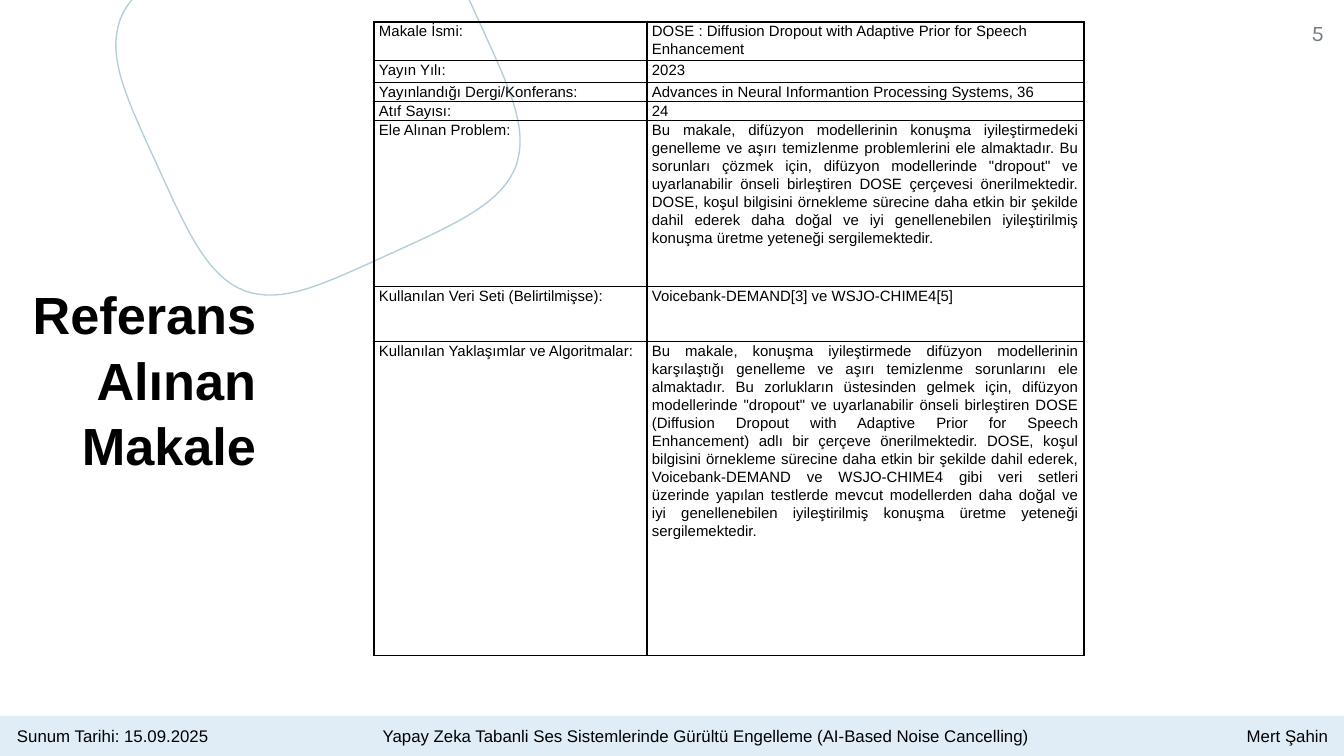
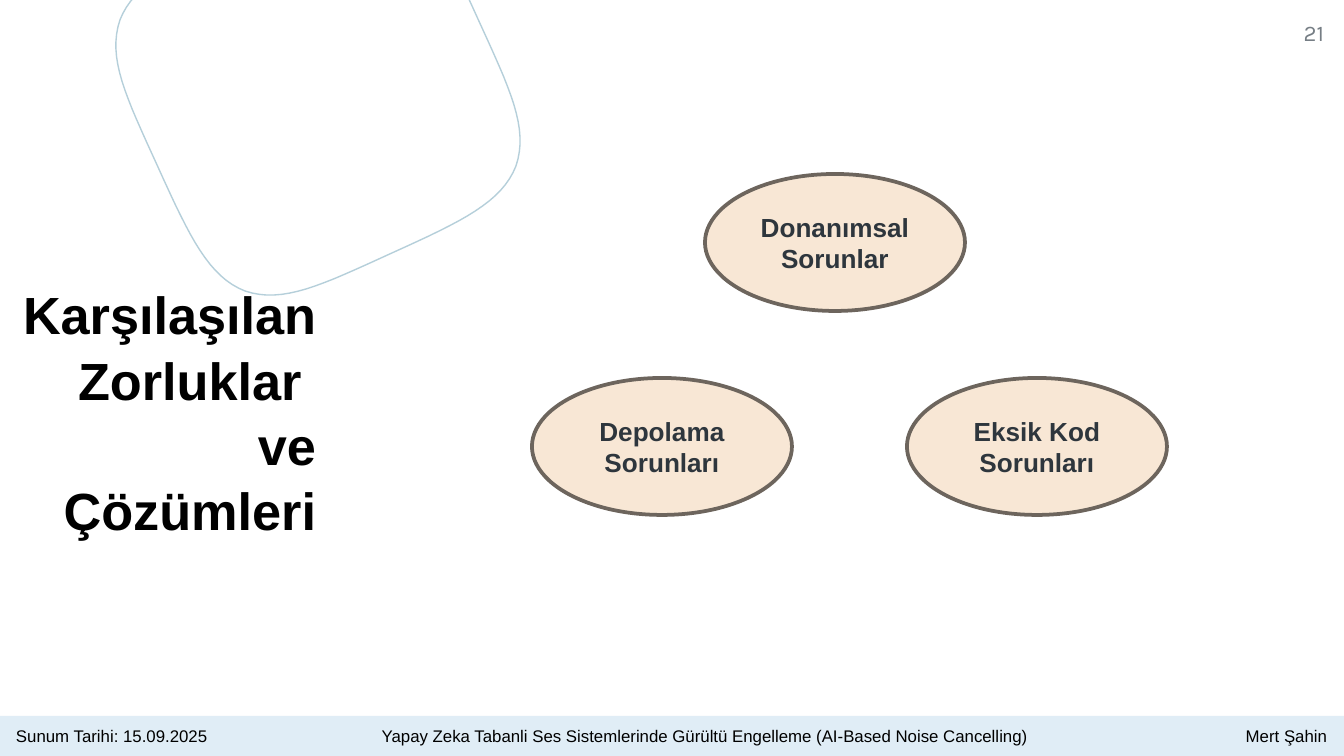
from lxml import etree
from pptx import Presentation
from pptx import util as u
from pptx.dml.color import RGBColor
from pptx.enum import shapes, text
from pptx.oxml.ns import qn

PX = 914400 / 134.4
COLORS = {
    "ink": "000000",
    "number": "767E85",
    "outline": "B5CFDA",
    "band": "C3DCEF",
    "bubble": "F8E7D5",
    "bubble_edge": "6D655D",
    "bubble_text": "2E363D",
}
LEFT, CENTER = text.PP_ALIGN.LEFT, text.PP_ALIGN.CENTER
RIGHT, JUSTIFY = text.PP_ALIGN.RIGHT, text.PP_ALIGN.JUSTIFY

# One quarter of the rounded outline, two curves, relative to its centre
OUTLINE_CENTER = (318, 93)
OUTLINE_QUARTER = [(74, 160), (145, 128), (184, 109), (198, 73),
                   (211, 35), (192, -4), (160, -74)]
CURVE_STEPS = 16


def px(value):
    return u.Emu(round(value * PX))


def rgb(name):
    return RGBColor.from_string(COLORS[name])


def curve_points(p0, p1, p2, p3):
    """Points along a cubic curve, without its start."""
    for step in range(1, CURVE_STEPS + 1):
        t = step / CURVE_STEPS
        s = 1 - t
        yield tuple(s**3 * a + 3 * s * s * t * b + 3 * s * t * t * c + t**3 * d
                    for a, b, c, d in zip(p0, p1, p2, p3))


class Deck:
    def __init__(self):
        self.prs = Presentation()
        self.prs.slide_width, self.prs.slide_height = px(1344), px(756)
        self.slide = None

    def new_slide(self, number, title, title_width, shift=0):
        self.slide = self.prs.slides.add_slide(self.prs.slide_layouts[6])
        self.outline()
        self.label(number, 1243, 19, 81, 58, 12, RIGHT, "number", "Karla")
        self.label(title, 20, 280, title_width, 99, 28, RIGHT,
                   bold=True, spacing=1.04)
        self.footer(shift)

    def style(self, paragraph, size, align, color="ink", font="Arial",
              bold=False, spacing=None):
        paragraph.alignment = align
        if spacing:
            paragraph.line_spacing = spacing
        for run in paragraph.runs:
            run.font.size = u.Pt(size)
            run.font.name = font
            run.font.bold = bold
            run.font.color.rgb = rgb(color)

    def label(self, words, x, y, w, h, size, align, color="ink",
              font="Arial", bold=False, spacing=None, inset=(0, 0)):
        frame = self.slide.shapes.add_textbox(px(x), px(y), px(w), px(h)).text_frame
        frame.word_wrap = True
        frame.margin_left = frame.margin_right = px(inset[0])
        frame.margin_top = frame.margin_bottom = px(inset[1])
        paragraph = frame.paragraphs[0]
        paragraph.text = words
        self.style(paragraph, size, align, color, font, bold, spacing)

    def shape(self, kind, x, y, w, h, fill, edge=None, weight=0):
        shape = self.slide.shapes.add_shape(kind, px(x), px(y), px(w), px(h))
        shape.shadow.inherit = False
        shape.fill.solid()
        shape.fill.fore_color.rgb = rgb(fill)
        if edge:
            shape.line.color.rgb = rgb(edge)
            shape.line.width = u.Pt(weight)
        else:
            shape.line.fill.background()
        return shape

    def outline(self):
        quarter, points = OUTLINE_QUARTER, []
        for _ in range(4):
            points += [*curve_points(*quarter[:4]), *curve_points(*quarter[3:])]
            quarter = [(y, -x) for x, y in quarter]
        cx, cy = OUTLINE_CENTER
        points = [(px(cx + x), px(cy + y)) for x, y in points]
        builder = self.slide.shapes.build_freeform(*points[-1])
        builder.add_line_segments(points[:-1], close=True)
        curve = builder.convert_to_shape()
        curve.shadow.inherit = False
        curve.fill.background()
        curve.line.color.rgb = rgb("outline")
        curve.line.width = u.Pt(0.75)

    def footer(self, shift):
        band = self.shape(shapes.MSO_SHAPE.RECTANGLE, shift, 716, 1352, 40, "band")
        color = band.fill._xPr.find(".//" + qn("a:srgbClr"))
        etree.SubElement(color, qn("a:alpha"), val="50000")
        for words, x, w, align in (
            ("Yapay Zeka Tabanli Ses Sistemlerinde Gürültü Engelleme "
             "(AI-Based Noise Cancelling)", 315, 781, CENTER),
            ("Mert Şahin", 1078, 263, RIGHT),
            ("Sunum Tarihi: 15.09.2025", 4, 223, LEFT),
        ):
            self.label(words, x + shift, 719, w, 34, 9, align, inset=(13, 7))

    def bubble(self, words, x, y):
        bubble = self.shape(shapes.MSO_SHAPE.OVAL, x, y, 260, 137,
                            "bubble", "bubble_edge", 2)
        frame = bubble.text_frame
        frame.word_wrap = True
        frame.vertical_anchor = text.MSO_ANCHOR.MIDDLE
        frame.text = words
        self.style(frame.paragraphs[0], 14, CENTER, "bubble_text", bold=True)

    def table(self, x, y, widths, rows):
        table = self.slide.shapes.add_table(
            len(rows), len(widths), px(x), px(y), px(sum(widths)),
            px(sum(row[0] for row in rows))).table
        table.first_row = table.horz_banding = False
        for column, width in zip(table.columns, widths):
            column.width = px(width)
        for r, (height, align, *entries) in enumerate(rows):
            table.rows[r].height = px(height)
            for c, words in enumerate(entries):
                self.cell(table.cell(r, c), words, align if c else LEFT)

    def cell(self, cell, words, align):
        cell.margin_left = cell.margin_right = px(5)
        cell.margin_top = cell.margin_bottom = 0
        cell.text_frame.text = words
        paragraph = cell.text_frame.paragraphs[0]
        paragraph.space_after = u.Pt(8)
        self.style(paragraph, 8, align, spacing=1.07)
        # Borders come before the fill in the cell properties
        props = cell._tc.get_or_add_tcPr()
        for side in ("lnL", "lnR", "lnT", "lnB"):
            line = etree.SubElement(props, qn("a:" + side), w=str(u.Pt(0.75)))
            solid = etree.SubElement(line, qn("a:solidFill"))
            etree.SubElement(solid, qn("a:srgbClr"), val=COLORS["ink"])
        cell.fill.background()


PROBLEM = (
    "Bu makale, difüzyon modellerinin konuşma iyileştirmedeki genelleme ve aşırı "
    "temizlenme problemlerini ele almaktadır. Bu sorunları çözmek için, difüzyon "
    "modellerinde \"dropout\" ve uyarlanabilir önseli birleştiren DOSE çerçevesi "
    "önerilmektedir. DOSE, koşul bilgisini örnekleme sürecine daha etkin bir şekilde "
    "dahil ederek daha doğal ve iyi genellenebilen iyileştirilmiş konuşma üretme "
    "yeteneği sergilemektedir.")
APPROACH = (
    "Bu makale, konuşma iyileştirmede difüzyon modellerinin karşılaştığı genelleme ve "
    "aşırı temizlenme sorunlarını ele almaktadır. Bu zorlukların üstesinden gelmek "
    "için, difüzyon modellerinde \"dropout\" ve uyarlanabilir önseli birleştiren DOSE "
    "(Diffusion Dropout with Adaptive Prior for Speech Enhancement) adlı bir çerçeve "
    "önerilmektedir. DOSE, koşul bilgisini örnekleme sürecine daha etkin bir şekilde "
    "dahil ederek, Voicebank-DEMAND ve WSJO-CHIME4 gibi veri setleri üzerinde yapılan "
    "testlerde mevcut modellerden daha doğal ve iyi genellenebilen iyileştirilmiş "
    "konuşma üretme yeteneği sergilemektedir.")

# Row height, alignment of the value, label, value
ARTICLE = [
    (36, LEFT, "Makale İsmi:",
     "DOSE : Diffusion Dropout with Adaptive Prior for Speech Enhancement"),
    (22, LEFT, "Yayın Yılı:", "2023"),
    (18, LEFT, "Yayınlandığı Dergi/Konferans:",
     "Advances in Neural Informantion Processing Systems, 36"),
    (18, LEFT, "Atıf Sayısı:", "24"),
    (166, JUSTIFY, "Ele Alınan Problem:", PROBLEM),
    (55, JUSTIFY, "Kullanılan Veri Seti (Belirtilmişse):",
     "Voicebank-DEMAND[3] ve WSJO-CHIME4[5]"),
    (314, JUSTIFY, "Kullanılan Yaklaşımlar ve Algoritmalar:", APPROACH),
]
CHALLENGES = [
    ("Donanımsal Sorunlar", 705, 174),
    ("Depolama Sorunları", 532, 378),
    ("Eksik Kod Sorunları", 907, 378),
]


def main():
    deck = Deck()

    # Reference article
    deck.new_slide("5", "Referans Alınan Makale", 236)
    deck.table(374, 22, (273, 437), ARTICLE)

    # Challenges
    deck.new_slide("21", "Karşılaşılan Zorluklar \vve Çözümleri", 296, shift=-1)
    for challenge in CHALLENGES:
        deck.bubble(*challenge)

    deck.prs.save("out.pptx")


if __name__ == "__main__":
    main()
